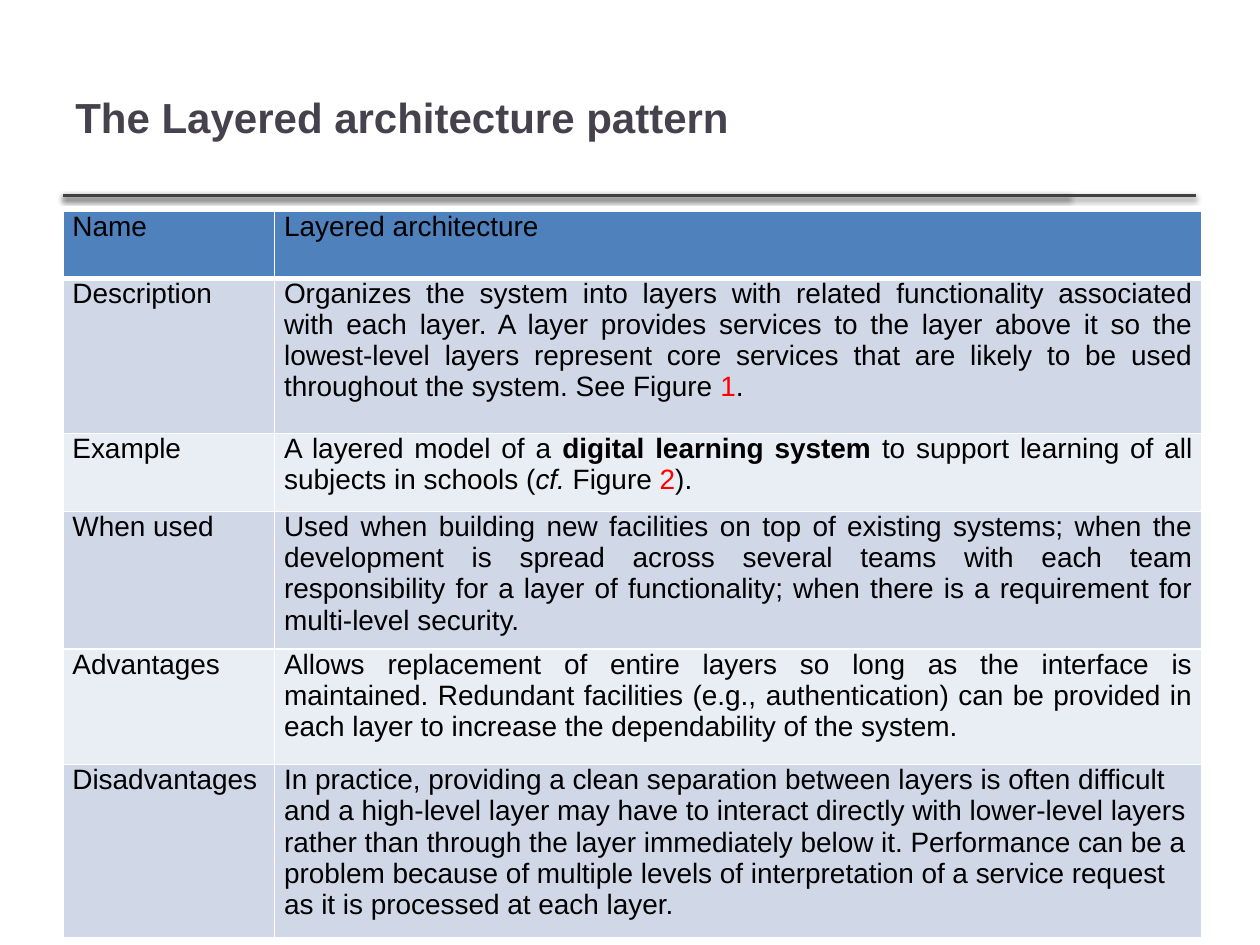
from lxml import etree
from pptx import Presentation
from pptx import util as u
from pptx.dml.color import RGBColor
from pptx.enum import shapes, text
from pptx.oxml import ns

WIDTH, HEIGHT = u.Inches(10), u.Inches(7.5)
LEFT = 0.05
FONT = "Arial"
BLACK = RGBColor(0, 0, 0)
RED = RGBColor(0xFF, 0, 0)
WHITE = RGBColor(0xFF, 0xFF, 0xFF)
TITLE_COLOR = RGBColor(0x46, 0x42, 0x4D)
RULE_COLOR = RGBColor(0x40, 0x40, 0x40)
HEADER_FILL = RGBColor(0x4F, 0x81, 0xBD)
BAND_FILLS = [RGBColor(0xE9, 0xED, 0xF4), RGBColor(0xD0, 0xD8, 0xE8)]

COLUMN_WIDTHS = [1.68, 7.36]
ROW_HEIGHTS = [0.53, 1.23, 0.62, 1.09, 0.92, 1.37]
PLAIN, BOLD, ITALIC, REFERENCE = "plain", "bold", "italic", "reference"

ROWS = [
    ("Name", [("Layered architecture", PLAIN)]),
    ("Description", [
        ("Organizes the system into layers with related functionality associated "
         "with each layer. A layer provides services to the layer above it so the "
         "lowest-level layers represent core services that are likely to be used "
         "throughout the system. See Figure ", PLAIN),
        ("1", REFERENCE),
        (".", PLAIN),
    ]),
    ("Example", [
        ("A layered model of a ", PLAIN),
        ("digital learning system", BOLD),
        (" to support learning of all subjects in schools (", PLAIN),
        ("cf.", ITALIC),
        (" Figure ", PLAIN),
        ("2", REFERENCE),
        (").", PLAIN),
    ]),
    ("When used", [
        ("Used when building new facilities on top of existing systems; when the "
         "development is spread across several teams with each team responsibility "
         "for a layer of functionality; when there is a requirement for "
         "multi-level security.", PLAIN),
    ]),
    ("Advantages", [
        ("Allows replacement of entire layers so long as the interface is "
         "maintained. Redundant facilities (e.g., authentication) can be provided "
         "in each layer to increase the dependability of the system.", PLAIN),
    ]),
    ("Disadvantages", [
        ("In practice, providing a clean separation between layers is often "
         "difficult and a high-level layer may have to interact directly with "
         "lower-level layers rather than through the layer immediately below it. "
         "Performance can be a problem because of multiple levels of "
         "interpretation of a service request as it is processed at each layer.",
         PLAIN),
    ]),
]


def across(share):
    return round(WIDTH * share)


def down(share):
    return round(HEIGHT * share)


def add_element(parent, tag, **attributes):
    element = etree.SubElement(parent, ns.qn(tag))
    for name, value in attributes.items():
        element.set(name, str(value))
    return element


def add_run(paragraph, content, size, color, bold=False, italic=False):
    run = paragraph.add_run()
    run.text = content
    font = run.font
    font.name, font.size = FONT, u.Pt(size)
    font.bold, font.italic = bold, italic
    font.color.rgb = color


def add_rule(slide, end):
    y = u.Inches(1.55)
    rule = slide.shapes.add_connector(
        shapes.MSO_CONNECTOR.STRAIGHT, across(LEFT), y, u.Inches(end), y)
    rule.line.color.rgb = RULE_COLOR
    rule.line.width = u.Pt(2)
    effects = add_element(rule._element.spPr, "a:effectLst")
    shadow = add_element(effects, "a:outerShdw", blurRad=u.Pt(3.1),
                         dist=u.Pt(1.6), dir=90 * 60000, rotWithShape=0)
    color = add_element(shadow, "a:srgbClr", val=BLACK)
    add_element(color, "a:alpha", val=38000)


def add_title(slide, content):
    box = slide.shapes.add_textbox(across(LEFT), down(0.04), across(0.8), u.Inches(1.25))
    frame = box.text_frame
    frame.word_wrap = True
    frame.vertical_anchor = text.MSO_ANCHOR.MIDDLE
    add_run(frame.paragraphs[0], content, 24, TITLE_COLOR, bold=True)


def set_borders(cell, row):
    properties = cell._tc.get_or_add_tcPr()
    widths = {"L": 1, "R": 1, "T": 3 if row == 1 else 1, "B": 3 if row == 0 else 1}
    for side, width in widths.items():
        line = add_element(properties, f"a:ln{side}", w=u.Pt(width))
        add_element(add_element(line, "a:solidFill"), "a:srgbClr", val=WHITE)


def fill_cell(cell, row, runs, alignment):
    set_borders(cell, row)
    cell.fill.solid()
    cell.fill.fore_color.rgb = BAND_FILLS[row % 2] if row else HEADER_FILL
    cell.margin_left = cell.margin_right = u.Pt(5.4)
    cell.margin_top = cell.margin_bottom = 0
    paragraph = cell.text_frame.paragraphs[0]
    paragraph.alignment = alignment
    for content, style in runs:
        add_run(paragraph, content, 16, RED if style == REFERENCE else BLACK,
                bold=style == BOLD, italic=style == ITALIC)


def add_pattern_table(slide):
    table = slide.shapes.add_table(
        len(ROWS), len(COLUMN_WIDTHS), across(LEFT), u.Inches(1.68),
        u.Inches(sum(COLUMN_WIDTHS)), u.Inches(sum(ROW_HEIGHTS))).table
    table.first_row = table.horz_banding = False
    for column, width in zip(table.columns, COLUMN_WIDTHS):
        column.width = u.Inches(width)
    for row, (label, runs) in enumerate(ROWS):
        table.rows[row].height = u.Inches(ROW_HEIGHTS[row])
        last = row == len(ROWS) - 1
        body_alignment = text.PP_ALIGN.LEFT if last else text.PP_ALIGN.JUSTIFY
        fill_cell(table.cell(row, 0), row, [(label, PLAIN)], text.PP_ALIGN.JUSTIFY)
        fill_cell(table.cell(row, 1), row, runs, body_alignment)


def main():
    presentation = Presentation()
    presentation.slide_width, presentation.slide_height = WIDTH, HEIGHT
    slide = presentation.slides.add_slide(presentation.slide_layouts[6])
    for end in (8.49, 9.49):
        add_rule(slide, end)
    add_title(slide, "The Layered architecture pattern")
    add_pattern_table(slide)
    presentation.save("out.pptx")


if __name__ == "__main__":
    main()
